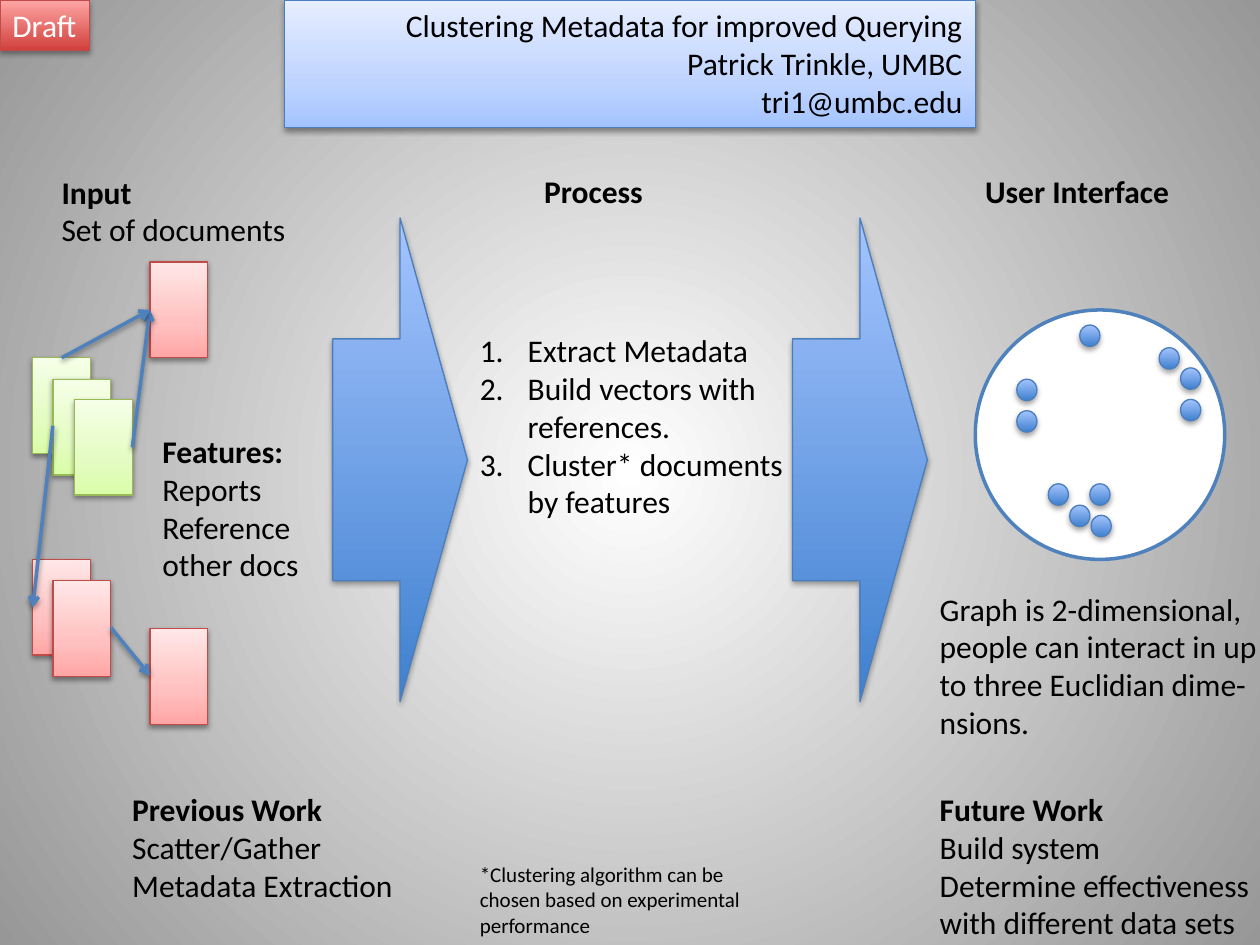
from dataclasses import dataclass

from lxml import etree
from pptx import Presentation
from pptx import util as u
from pptx.dml.color import RGBColor
from pptx.enum import shapes, text
from pptx.oxml import parse_xml
from pptx.oxml.ns import nsdecls, qn


@dataclass(frozen=True)
class Theme:
    font: str = "Calibri"
    body: int = 18
    note: int = 12
    ink: str = "000000"
    paper: str = "FFFFFF"
    accent: str = "4F81BD"
    thin: float = 0.75
    thick: float = 2
    backdrop: tuple = ((0, "FFFFFF"), (100, "979797"))
    header: tuple = (((0, "A4C4FF"), (35, "BFD4FF"), (100, "E6EEFF")), "4B7EBC")
    blue: tuple = (((0, "3F80CE"), (100, "A4C4FF")), "4B7EBC")
    badge: tuple = (((0, "D1403C"), (100, "FFA6A5")), "BF4C48")
    green: tuple = (((0, "DAFDA7"), (35, "E4FCC2"), (100, "F5FFE7")), "98B955")
    red: tuple = (((0, "FFA6A5"), (35, "FFC0BF"), (100, "FFE7E7")), "BF4C48")
    soft: tuple = (38, 1.6)
    strong: tuple = (35, 1.8)


def assign(obj, values):
    for name, value in values.items():
        setattr(obj, name, value)


class Board:
    """Draws themed elements on the current slide."""

    def __init__(self, prs, theme):
        self.theme = theme
        self.slide = prs.slides.add_slide(prs.slide_layouts[5])

    def gradient(self, fill, holder, stops):
        fill.gradient()
        grad = holder.find(qn("a:gradFill"))
        gs_lst = grad.find(qn("a:gsLst"))
        for gs in list(gs_lst):
            gs_lst.remove(gs)
        for pos, color in stops:
            gs = etree.SubElement(gs_lst, qn("a:gs"), pos=str(pos * 1000))
            etree.SubElement(gs, qn("a:srgbClr"), val=color)
        return grad

    def background(self):
        bg = self.slide.background
        bg.fill.gradient()
        holder = self.slide.element.find(".//" + qn("p:bgPr"))
        grad = self.gradient(bg.fill, holder, self.theme.backdrop)
        grad.replace(grad.find(qn("a:lin")), parse_xml(
            f'<a:path {nsdecls("a")} path="circle"><a:fillToRect l="50000" '
            't="50000" r="50000" b="50000"/></a:path>'))

    def shadow(self, sp_pr, look):
        alpha, dist = look
        effects = sp_pr.find(qn("a:effectLst"))
        if effects is None:
            effects = etree.SubElement(sp_pr, qn("a:effectLst"))
        effects.append(parse_xml(
            f'<a:outerShdw {nsdecls("a")} blurRad="{u.Pt(3.1)}" dist="{u.Pt(dist)}" '
            'dir="5400000" rotWithShape="0"><a:srgbClr val="000000">'
            f'<a:alpha val="{alpha * 1000}"/></a:srgbClr></a:outerShdw>'))

    def line(self, line, color, width):
        line.color.rgb = RGBColor.from_string(color)
        line.width = u.Pt(width)

    def place(self, sp, box):
        names = ("left", "top", "width", "height")
        assign(sp, dict(zip(names, map(u.Inches, box))))

    def glossy(self, sp, paint, look):
        stops, edge = paint
        self.gradient(sp.fill, sp._element.spPr, stops)
        sp.fill.gradient_angle = 90
        self.line(sp.line, edge, self.theme.thin)
        sp_pr = sp._element.spPr
        if hasattr(sp, "shadow"):
            sp.shadow.inherit = False
        self.shadow(sp_pr, look)

    def shape(self, kind, box, paint, look):
        sp = self.slide.shapes.add_shape(kind, *map(u.Inches, box))
        self.glossy(sp, paint, look)
        return sp

    def disc(self, box):
        sp = self.slide.shapes.add_shape(shapes.MSO_SHAPE.OVAL, *map(u.Inches, box))
        sp.shadow.inherit = False
        sp.fill.solid()
        sp.fill.fore_color.rgb = RGBColor.from_string(self.theme.paper)
        self.line(sp.line, self.theme.accent, self.theme.thick)

    def arrow(self, start, end):
        cx = self.slide.shapes.add_connector(
            shapes.MSO_CONNECTOR.STRAIGHT, *map(u.Inches, start + end))
        self.line(cx.line, self.theme.accent, self.theme.thick)
        ln = cx._element.spPr.find(qn("a:ln"))
        etree.SubElement(ln, qn("a:tailEnd"), type="arrow")
        self.shadow(cx._element.spPr, self.theme.soft)

    def frame(self, sp, wrap=False):
        assign(sp.text_frame, {
            "word_wrap": wrap,
            "auto_size": text.MSO_AUTO_SIZE.SHAPE_TO_FIT_TEXT,
            "vertical_anchor": text.MSO_ANCHOR.TOP})
        return sp.text_frame

    def add_lines(self, p, lines, headed=False, size=None, color=None,
                  align=text.PP_ALIGN.LEFT):
        p.alignment = align
        for i, line in enumerate(lines):
            if i:
                p.add_line_break()
            r = p.add_run()
            r.text = line
            assign(r.font, {"name": self.theme.font, "bold": headed and i == 0,
                            "size": u.Pt(size or self.theme.body)})
            r.font.color.rgb = RGBColor.from_string(color or self.theme.ink)

    def title(self, box, lines):
        sp = self.slide.shapes.title
        self.place(sp, box)
        self.glossy(sp, self.theme.header, self.theme.soft)
        tf = self.frame(sp, wrap=True)
        self.add_lines(tf.paragraphs[0], lines, align=text.PP_ALIGN.RIGHT)

    def label(self, box, lines, wrap=False, **style):
        sp = self.slide.shapes.add_textbox(*map(u.Inches, box))
        self.add_lines(self.frame(sp, wrap).paragraphs[0], lines, **style)

    def steps(self, box, items):
        tf = self.frame(self.slide.shapes.add_textbox(*map(u.Inches, box)))
        for i, lines in enumerate(items):
            p = tf.add_paragraph() if i else tf.paragraphs[0]
            self.add_lines(p, lines)
            p_pr = p._p.get_or_add_pPr()
            indent = u.Inches(0.38)
            p_pr.set("marL", str(indent))
            p_pr.set("indent", str(-indent))
            etree.SubElement(p_pr, qn("a:buFont"), typeface="+mj-lt")
            etree.SubElement(p_pr, qn("a:buAutoNum"), type="arabicPeriod")


def main():
    prs = Presentation()
    assign(prs, {"slide_width": u.Inches(10), "slide_height": u.Inches(7.5)})
    theme = Theme()
    board = Board(prs, theme)
    kind = shapes.MSO_SHAPE

    board.background()
    board.title((2.26, 0, 5.48, 1.01), (
        "Clustering Metadata for improved Querying", "Patrick Trinkle, UMBC",
        "tri1@umbc.edu"))
    for x in (2.64, 6.29):
        board.shape(kind.RIGHT_ARROW, (x, 1.73, 1.07, 3.84), theme.blue, theme.strong)

    sections = (
        ((0.39, 1.32, 2, 0.71), ("Input", "Set of documents")),
        ((4.22, 1.32, 0.99, 0.4), ("Process",)),
        ((0.95, 6.22, 2.29, 1.01),
         ("Previous Work", "Scatter/Gather", "Metadata Extraction")),
        ((7.36, 6.22, 2.69, 1.31),
         ("Future Work", "Build system", "Determine effectiveness",
          "with different data sets")),
        ((7.72, 1.32, 1.68, 0.4), ("User Interface",)),
        ((1.19, 3.38, 1.3, 1.31), ("Features:", "Reports", "Reference", "other docs")))
    for box, lines in sections:
        board.label(box, lines, headed=True)

    draft = board.shape(kind.RECTANGLE, (0, 0, 0.71, 0.4), theme.badge, theme.strong)
    board.add_lines(board.frame(draft).paragraphs[0], ("Draft",), color=theme.paper)

    documents = (
        (theme.green, ((0.26, 2.84), (0.42, 3.01), (0.59, 3.17))),
        (theme.red, ((0.26, 4.44), (1.19, 4.99), (1.19, 2.08), (0.42, 4.61))))
    for paint, corners in documents:
        for corner in corners:
            board.shape(kind.RECTANGLE, corner + (0.46, 0.76), paint, theme.soft)

    references = (((1.05, 3.55), (1.19, 2.46)), ((0.49, 2.84), (1.19, 2.46)),
                  ((0.42, 3.38), (0.26, 4.82)), ((0.88, 4.98), (1.19, 5.36)))
    for start, end in references:
        board.arrow(start, end)

    board.steps((3.71, 2.58, 2.63, 1.62), (
        ("Extract Metadata",), ("Build vectors with", "references."),
        ("Cluster* documents", "by features")))
    board.label((3.71, 6.79, 2.29, 0.71), (
        "*Clustering algorithm can be", "chosen based on experimental",
        "performance"), size=theme.note)

    board.disc((7.74, 2.46, 1.98, 1.98))
    points = ((8.07, 3.01), (8.07, 3.26), (8.32, 3.84), (8.49, 4.01), (8.65, 3.84),
              (9.2, 2.76), (9.37, 2.92), (9.37, 3.17), (8.57, 2.58), (8.66, 4.09))
    for point in points:
        board.shape(kind.OVAL, point + (0.16, 0.17), theme.blue, theme.strong)
    board.label((7.36, 4.63, 2.83, 1.62), (
        "Graph is 2-dimensional,", "people can interact in up",
        "to three Euclidian dime-", "nsions."), wrap=True)

    prs.save("out.pptx")


if __name__ == "__main__":
    main()
